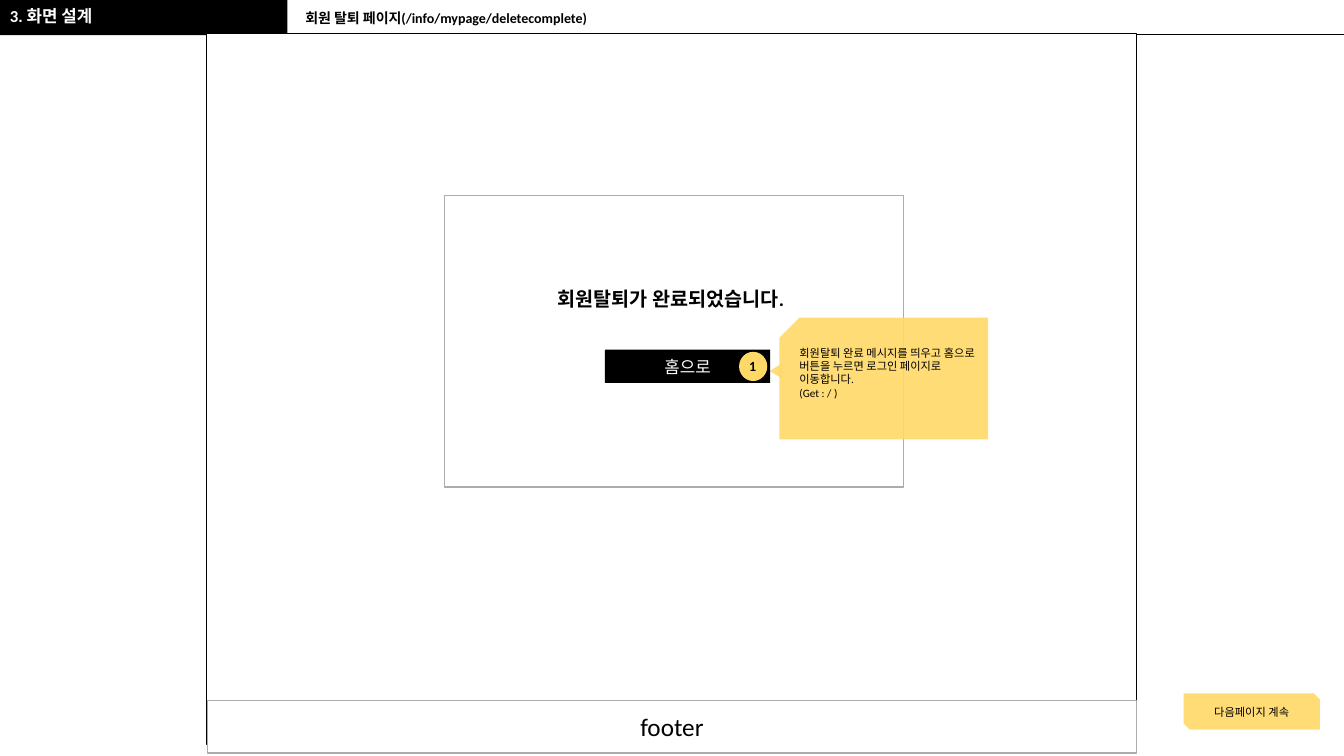
from dataclasses import dataclass

from lxml.etree import SubElement
from pptx import Presentation
from pptx.dml.color import RGBColor
from pptx.enum.shapes import MSO_CONNECTOR, MSO_SHAPE as Shape
from pptx.enum.text import MSO_ANCHOR as Anchor, PP_ALIGN as Align
from pptx.oxml.ns import qn
from pptx.util import Inches, Pt


@dataclass(frozen=True)
class Theme:
    font: str = "Calibri"
    ink: str = "000000"
    paper: str = "FFFFFF"
    border: str = "AFABAB"
    note: str = "FFD966"
    note_opacity: int = 90
    tiny: int = 8
    small: int = 10
    medium: int = 12
    large: int = 14
    footer: int = 18
    hairline: float = 0.5
    outline: float = 1


THEME = Theme()


def write_text(shape, text, size=THEME.small, color=THEME.ink, bold=False,
               align=Align.LEFT, anchor=Anchor.MIDDLE, wrap=True, spacing=None,
               top=0.05):
    """Fill a shape with text, one paragraph per line."""
    frame = shape.text_frame
    frame.word_wrap = wrap
    frame.vertical_anchor = anchor
    frame.margin_top = Inches(top)
    for index, line in enumerate(text.split("\n")):
        paragraph = frame.add_paragraph() if index else frame.paragraphs[0]
        paragraph.alignment = align
        if spacing:
            paragraph.line_spacing = spacing
        run = paragraph.add_run()
        run.text = line
        font = run.font
        font.name, font.size, font.bold = THEME.font, Pt(size), bold
        font.color.rgb = RGBColor.from_string(color)


def add_box(shapes, box, fill, kind=Shape.RECTANGLE, line=None, opacity=100):
    shape = shapes.add_shape(kind, *map(Inches, box))
    shape.shadow.inherit = False
    shape.fill.solid()
    shape.fill.fore_color.rgb = RGBColor.from_string(fill)
    if opacity < 100:
        color = shape.fill._xPr.find(qn("a:solidFill"))[0]
        SubElement(color, qn("a:alpha"), val=str(opacity * 1000))
    if line:
        shape.line.color.rgb = RGBColor.from_string(line)
        shape.line.width = Pt(THEME.outline)
    else:
        shape.line.fill.background()
    return shape


def add_note_box(shapes, box, kind):
    return add_box(shapes, box, THEME.note, kind, opacity=THEME.note_opacity)


def add_label(shapes, box, text, **style):
    write_text(shapes.add_textbox(*map(Inches, box)), text, **style)


def add_header(slide, box, section, title):
    left, top, width, height = box
    tab_width = 2.85
    add_box(slide.shapes, (left, top, tab_width, height), THEME.ink)
    rule_y = Inches(top + 0.34)
    rule = slide.shapes.add_connector(MSO_CONNECTOR.STRAIGHT, Inches(left + 2.76),
                                      rule_y, Inches(left + width), rule_y)
    rule.line.color.rgb = RGBColor.from_string(THEME.ink)
    rule.line.width = Pt(THEME.hairline)
    SubElement(rule._element.spPr, qn("a:effectLst"))
    style = dict(bold=True, anchor=Anchor.TOP, spacing=0.9)
    add_label(slide.shapes, (left, top + 0.03, tab_width, 0.32), section,
              size=THEME.medium, color=THEME.paper, **style)
    add_label(slide.shapes, (left + 2.93, top + 0.06, 8.57, 0.26), title, **style)


def add_page_frame(slide, box):
    """Draw the wireframe page with its footer bar."""
    left, top, width, height = box
    add_box(slide.shapes, box, THEME.paper, line=THEME.ink)
    footer = add_box(slide.shapes, (left + 0.01, top + height - 0.43, width - 0.01, 0.52),
                     THEME.paper, line=THEME.border)
    write_text(footer, "footer", size=THEME.footer, align=Align.CENTER)


def add_completion_panel(slide, box):
    left, top, _, _ = box
    add_box(slide.shapes, box, THEME.paper, line=THEME.border)
    message = add_box(slide.shapes, (left + 1.02, top + 0.62, 2.78, 0.8), THEME.paper)
    write_text(message, "회원탈퇴가 완료되었습니다.", size=THEME.large, bold=True)


def add_home_button(slide, box):
    button = add_box(slide.shapes, box, THEME.ink)
    write_text(button, "홈으로", size=THEME.medium, color=THEME.paper, align=Align.CENTER)


def add_callout(slide, box, text):
    """Draw a note whose pointer sticks out on the left."""
    left, top, _, _ = box
    shapes = slide.shapes.add_group_shape().shapes
    note = add_note_box(shapes, box, Shape.SNIP_1_RECTANGLE)
    note._element.spPr.xfrm.set("flipH", "1")
    write_text(note, text, size=THEME.tiny, anchor=Anchor.TOP, top=0.18)
    pointer = add_note_box(shapes, (left - 0.11, top + 0.47, 0.15, 0.12),
                           Shape.ISOSCELES_TRIANGLE)
    pointer.rotation = 270


def add_badge(slide, box, number):
    left, top, width, height = box
    shapes = slide.shapes.add_group_shape().shapes
    add_box(shapes, box, THEME.note, Shape.OVAL)
    add_label(shapes, (left, top + 0.01, width - 0.01, height - 0.02), number,
              bold=True, align=Align.CENTER, anchor=Anchor.TOP, wrap=False)


def add_next_page_tag(slide, box):
    tag = add_note_box(slide.shapes, box, Shape.SNIP_2_DIAG_RECTANGLE)
    write_text(tag, "다음페이지 계속", size=THEME.tiny, align=Align.CENTER)


def main():
    presentation = Presentation()
    presentation.slide_width, presentation.slide_height = Inches(13.33), Inches(7.5)
    slide = presentation.slides.add_slide(presentation.slide_layouts[6])
    add_header(slide, (0, 0, 13.33, 0.35), "3. 화면 설계",
               "회원 탈퇴 페이지(/info/mypage/deletecomplete)")
    add_page_frame(slide, (2.05, 0.33, 9.22, 7.05))
    add_completion_panel(slide, (4.41, 1.94, 4.55, 2.89))
    add_next_page_tag(slide, (11.74, 6.88, 1.35, 0.36))
    add_callout(slide, (7.73, 3.15, 2.07, 1.21),
                "회원탈퇴 완료 메시지를 띄우고 홈으로 버튼을 누르면 로그인 페이지로 "
                "이동합니다.\n(Get : / )")
    add_home_button(slide, (6, 3.47, 1.64, 0.33))
    add_badge(slide, (7.33, 3.49, 0.28, 0.29), "1")
    presentation.save("out.pptx")


if __name__ == "__main__":
    main()
